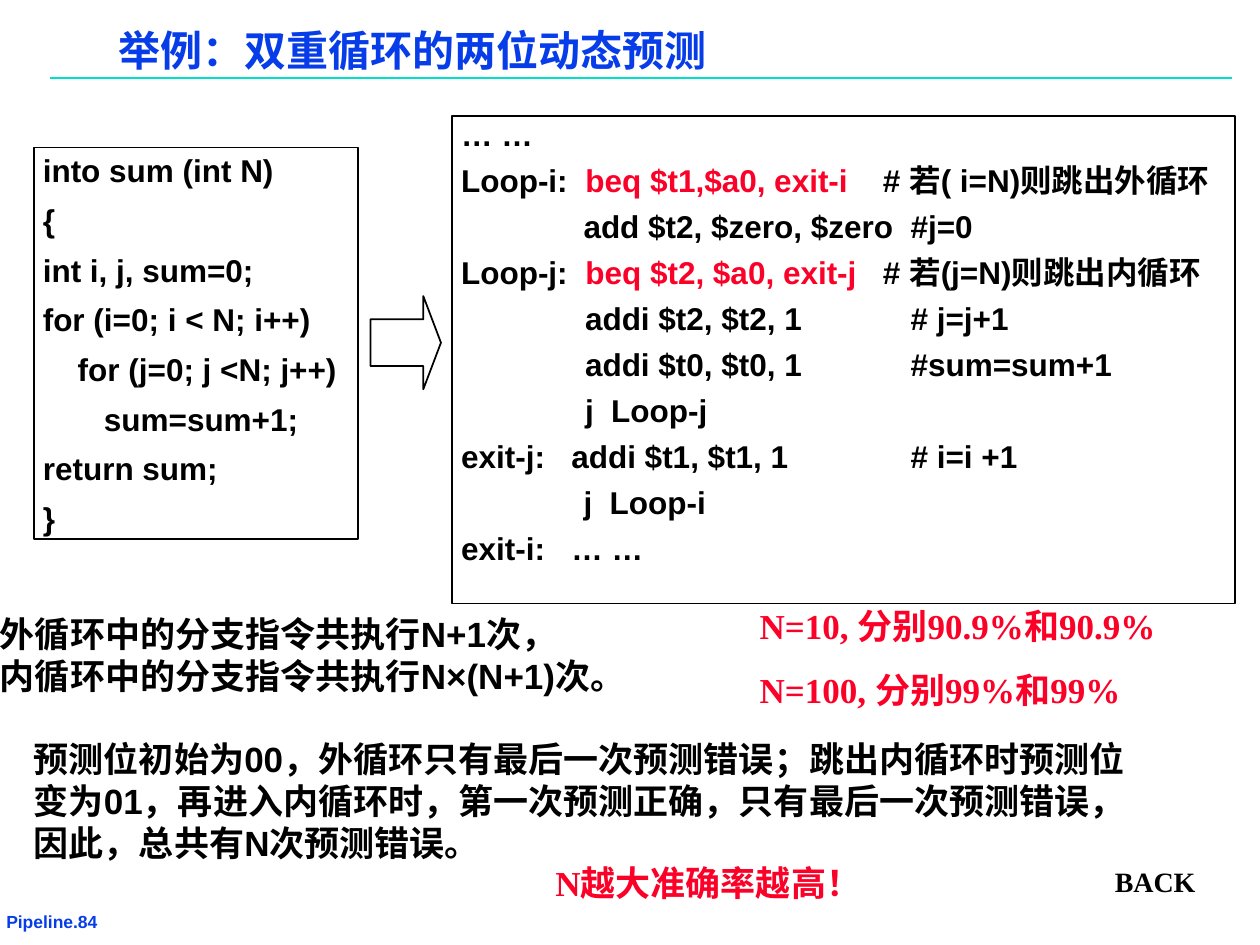
from lxml import etree
from pptx import Presentation
from pptx.dml.color import RGBColor
from pptx.enum.shapes import MSO_CONNECTOR, MSO_SHAPE
from pptx.enum.text import MSO_ANCHOR, PP_ALIGN
from pptx.oxml.ns import qn
from pptx.util import Inches, Pt

RECTANGLE, RIGHT_ARROW = MSO_SHAPE.RECTANGLE, MSO_SHAPE.RIGHT_ARROW
STRAIGHT = MSO_CONNECTOR.STRAIGHT
TOP, MIDDLE = MSO_ANCHOR.TOP, MSO_ANCHOR.MIDDLE
LEFT = PP_ALIGN.LEFT

BLACK, RED, BLUE, TEAL = "000000", "FC0128", "063DE8", "00DFCA"
SANS, SERIF = "Arial", "Times New Roman"
HANGING = 0.22
TAB_STOPS = range(8)
TIGHT, NORMAL, NONE = (0.07, 0.03), (0.1, 0.05), (0, 0)

C_CODE = [
    "into sum (int N)",
    "{",
    "int i, j, sum=0;",
    "for (i=0; i < N; i++)",
    "    for (j=0; j <N; j++)",
    "       sum=sum+1;",
    "return sum;",
    "}",
]
# A line with a highlighted branch is a list of (text, colour) pieces
ASSEMBLY = [
    "… …",
    [("Loop-i:  ", BLACK), ("beq $t1,$a0, exit-i", RED), ("    # 若( i=N)则跳出外循环", BLACK)],
    "              add $t2, $zero, $zero  #j=0",
    [("Loop-j:  ", BLACK), ("beq $t2, $a0, exit-j", RED), ("   # 若(j=N)则跳出内循环", BLACK)],
    "\t           addi $t2, $t2, 1\t     # j=j+1",
    "  \t           addi $t0, $t0, 1\t     #sum=sum+1",
    "\t           j  Loop-j",
    "exit-j:   addi $t1, $t1, 1\t     # i=i +1",
    "              j  Loop-i",
    "exit-i:   … …",
]


def rgb(value):
    return RGBColor.from_string(value)


def outline(shape):
    shape.shadow.inherit = False
    shape.fill.background()
    shape.line.color.rgb = rgb(BLACK)
    shape.line.width = Pt(1)


def write(frame, lines, size, color=BLACK, font=SANS, insets=NORMAL,
          anchor=TOP, before=0, spacing=None, wrap=True):
    frame.word_wrap = wrap
    frame.vertical_anchor = anchor
    frame.margin_left = frame.margin_right = Inches(insets[0])
    frame.margin_top = frame.margin_bottom = Inches(insets[1])
    for index, line in enumerate(lines):
        paragraph = frame.add_paragraph() if index else frame.paragraphs[0]
        paragraph.alignment = LEFT
        if index and before:
            paragraph.space_before = Pt(before)
        if spacing:
            paragraph.line_spacing = spacing
        for text, piece_color in [(line, color)] if isinstance(line, str) else line:
            run = paragraph.add_run()
            run.text = text
            run.font.name = font
            run.font.size = Pt(size)
            run.font.bold = True
            run.font.color.rgb = rgb(piece_color)


def add_note(slide, box, lines, size=20, **style):
    note = slide.shapes.add_textbox(*map(Inches, box))
    write(note.text_frame, lines, size, **style)


def add_header(slide, box):
    left, top, width, height = box
    rule_y = Inches(top + height)
    rule = slide.shapes.add_connector(
        STRAIGHT, Inches(left), rule_y, Inches(left + width), rule_y)
    rule.line.color.rgb = rgb(TEAL)
    rule.line.width = Pt(1)
    etree.SubElement(rule._element.spPr, qn("a:effectLst"))
    add_note(slide, (left + 0.47, top, 7.51, height),
             ["举例：双重循环的两位动态预测"], 24,
             color=BLUE, insets=TIGHT, spacing=0.87)


def add_code(slide, box, lines, spacing=None):
    code = slide.shapes.add_shape(RECTANGLE, *map(Inches, box))
    outline(code)
    write(code.text_frame, lines, 18, insets=TIGHT, before=6.8, spacing=spacing)
    # Hanging indent and a tab stop at every inch
    for paragraph in code.text_frame.paragraphs:
        properties = paragraph._p.get_or_add_pPr()
        properties.set("marL", str(Inches(HANGING)))
        properties.set("indent", str(-Inches(HANGING)))
        properties.set("defTabSz", str(Inches(1)))
        tabs = etree.SubElement(properties, qn("a:tabLst"))
        for stop in TAB_STOPS:
            etree.SubElement(tabs, qn("a:tab"), pos=str(Inches(stop)), algn="l")


def add_translation_arrow(slide, box):
    arrow = slide.shapes.add_shape(RIGHT_ARROW, *map(Inches, box))
    arrow.adjustments[0], arrow.adjustments[1] = 0.5, 0.25
    outline(arrow)


def add_conclusions(slide):
    # Number of executed branches
    add_note(slide, (0, 4.86, 5.53, 0.67),
             ["外循环中的分支指令共执行N+1次，", "内循环中的分支指令共执行N×(N+1)次。"],
             insets=NONE, anchor=MIDDLE)
    # Prediction behaviour
    add_note(slide, (0.17, 5.8, 8.91, 1.1),
             ["预测位初始为00，外循环只有最后一次预测错误；跳出内循环时预测"
              "位变为01，再进入内循环时，第一次预测正确，只有最后一次预测错误，"
              "因此，总共有N次预测错误。"], anchor=MIDDLE)
    # Accuracy
    add_note(slide, (4.31, 6.79, 3.26, 0.44), ["N越大准确率越高！"],
             color=RED, font=SERIF)
    add_note(slide, (5.93, 4.75, 3.69, 0.94),
             ["N=10, 分别90.9%和90.9%", "N=100, 分别99%和99%"],
             color=RED, font=SERIF, before=12.5)


def add_footer(slide):
    add_note(slide, (-0.02, 7.2, 1.38, 0.22), ["Pipeline.84"], 10,
             color=BLUE, insets=TIGHT, wrap=False)
    add_note(slide, (8.75, 6.81, 1.06, 0.37), ["BACK"], 16, font=SERIF)


def main():
    deck = Presentation()
    deck.slide_width, deck.slide_height = Inches(10), Inches(7.5)
    slide = deck.slides.add_slide(deck.slide_layouts[6])
    add_header(slide, (0.4, 0.22, 9.38, 0.4))
    add_code(slide, (0.27, 1.17, 2.57, 3.11), C_CODE)
    add_code(slide, (3.59, 0.92, 6.21, 3.87), ASSEMBLY, spacing=0.9)
    add_translation_arrow(slide, (2.94, 2.35, 0.56, 0.74))
    add_conclusions(slide)
    add_footer(slide)
    deck.save("out.pptx")


if __name__ == "__main__":
    main()
